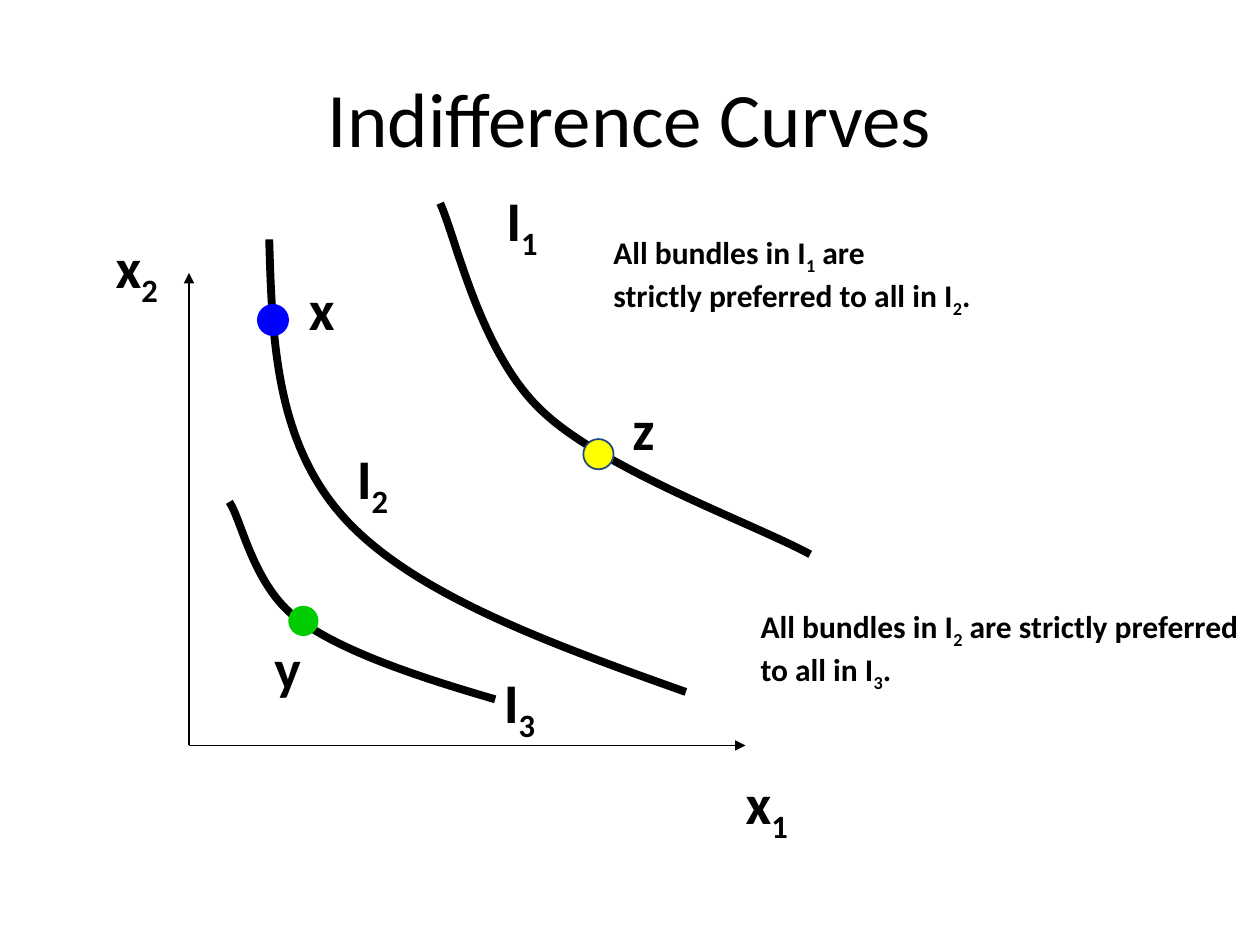
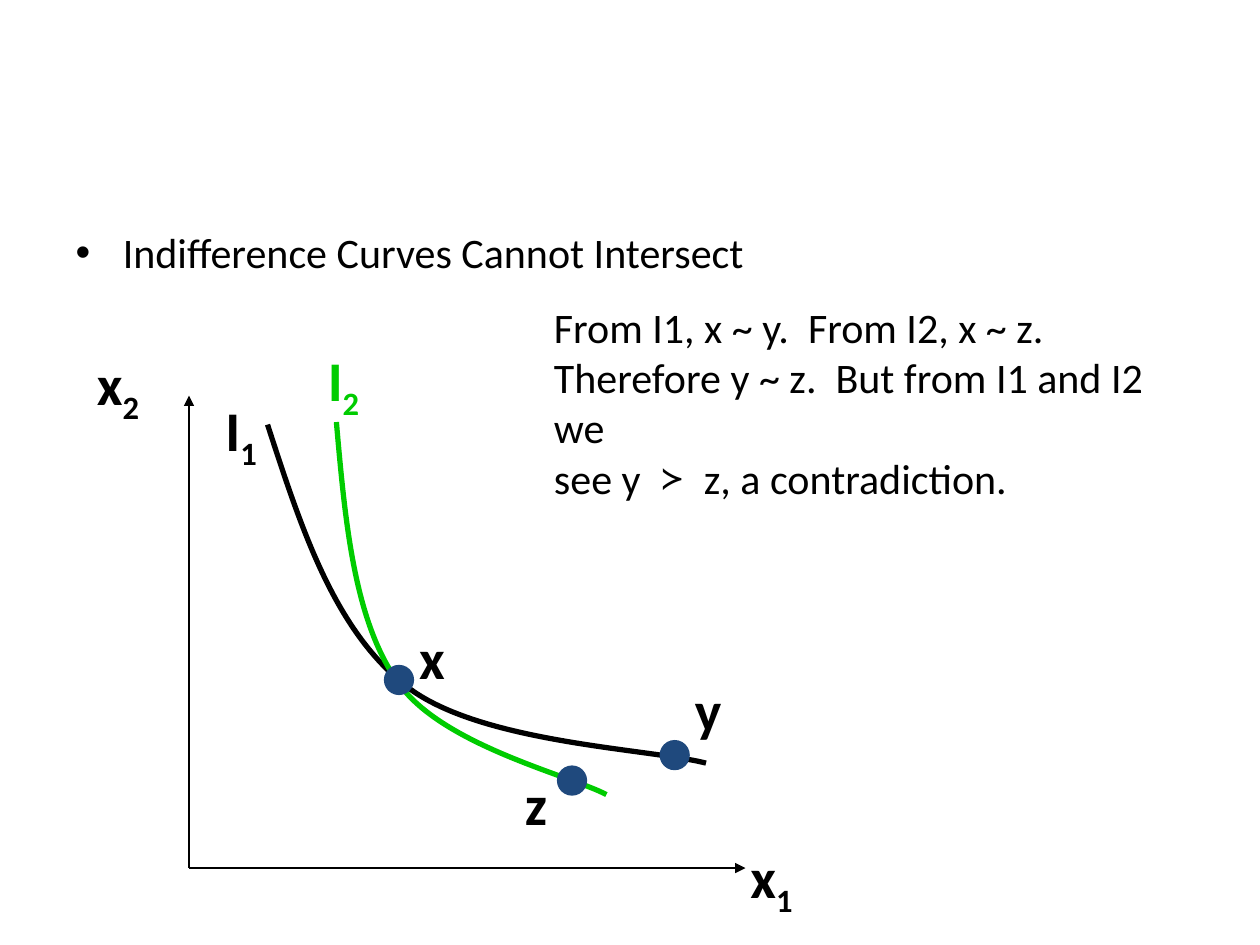
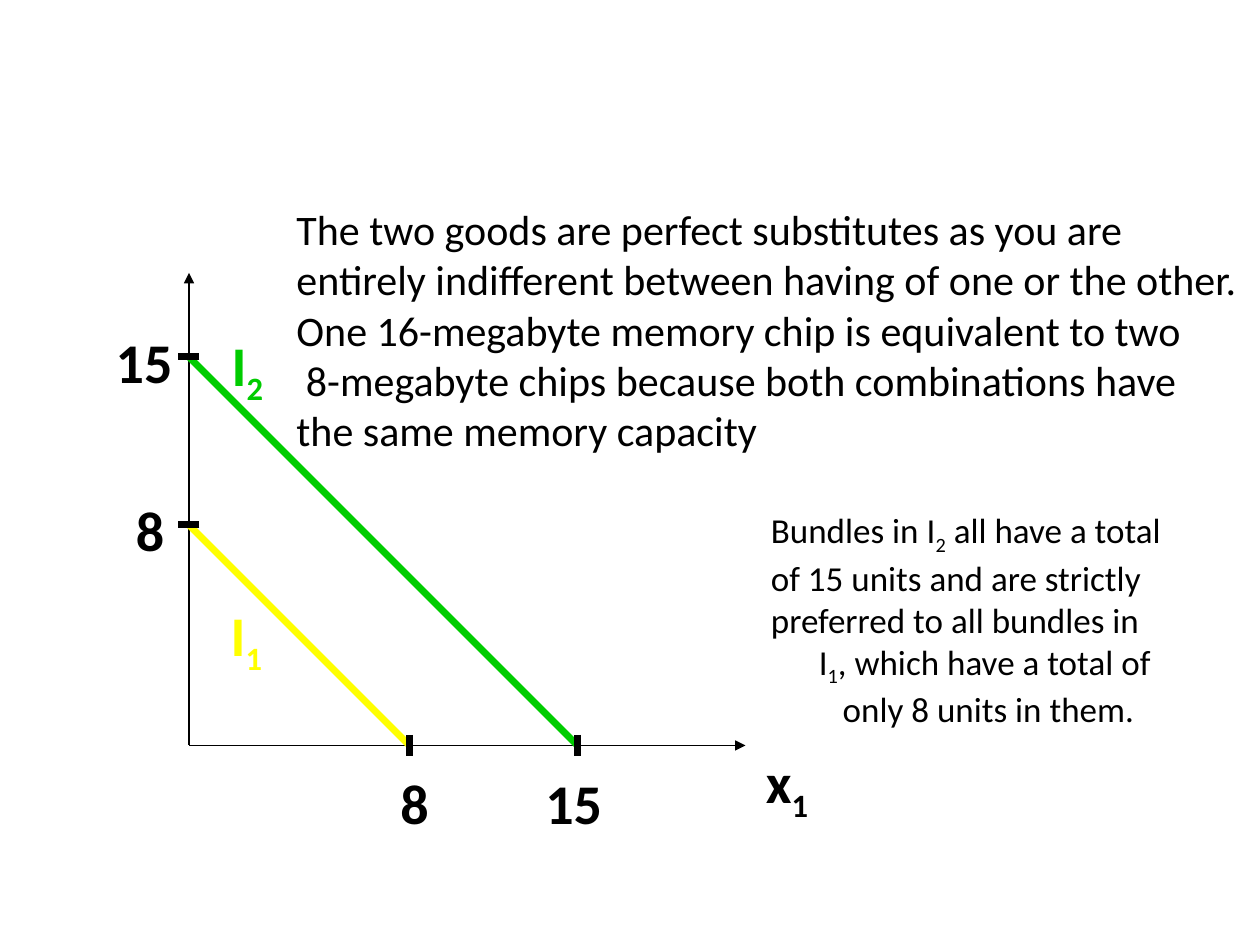
import dataclasses
import itertools

import lxml.etree
import pptx
import pptx.dml.color
import pptx.enum.shapes
import pptx.enum.text
import pptx.oxml.ns
import pptx.util


@dataclasses.dataclass(frozen=True)
class Theme:
    black: str = "000000"
    white: str = "FFFFFF"
    blue: str = "0000FF"
    navy: str = "1F497D"
    green: str = "00CC00"
    yellow: str = "FFFF00"
    font: str = "Calibri"
    symbol_font: str = "Noto Sans Mono"
    title: int = 44
    label: int = 32
    body: int = 24
    note: int = 20
    small: int = 18


THEME = Theme()
COLUMNS, ROWS = 120, 90
TITLE_AND_CONTENT, TITLE_ONLY, BLANK = 1, 5, 6
ORIGIN_COLUMN = 18
DOT_SIZE = 2.88


def color(code):
    return pptx.dml.color.RGBColor.from_string(code)


def write(frame, text, size=THEME.body, tint=THEME.black, bold=False,
          align=None, indents=()):
    """One paragraph per line; "_" lowers the next character, "\v" breaks a line."""
    for number, line in enumerate(text.split("\n")):
        para = frame.paragraphs[0] if number == 0 else frame.add_paragraph()
        if align is not None:
            para.alignment = align
        if number < len(indents):
            para._p.get_or_add_pPr().set("marL", str(pptx.util.Inches(indents[number])))
        marked = [(char, before == "_") for before, char in zip(" " + line, line)
                  if char != "_"]
        styles = itertools.groupby(
            marked, lambda item: (item[1], item[0] == "≻", item[0] == "\v"))
        for (lowered, symbol, broken), items in styles:
            if broken:
                para.add_line_break()
                continue
            span = para.add_run()
            span.text = "".join(char for char, _ in items)
            span.font.name = THEME.symbol_font if symbol else THEME.font
            span.font.size = pptx.util.Pt(size)
            span.font.bold = bold
            span.font.color.rgb = color(tint)
            if lowered:
                span._r.get_or_add_rPr().set("baseline", "-25000")


class Painter:
    """Draws on the current page, measured in grid columns and rows."""

    def __init__(self, deck):
        self.deck = deck
        self.page = None

    def x(self, column):
        return round(self.deck.slide_width * column / COLUMNS)

    def y(self, row):
        return round(self.deck.slide_height * row / ROWS)

    def place(self, shape, column, row, width, height):
        shape.left, shape.top = self.x(column), self.y(row)
        shape.width, shape.height = self.x(width), self.y(height)

    def new_page(self, layout):
        self.page = self.deck.slides.add_slide(self.deck.slide_layouts[layout])
        self.page.background.fill.solid()
        self.page.background.fill.fore_color.rgb = color(THEME.white)

    def title(self, text):
        box = self.page.shapes.title
        self.place(box, 6, 3.6, 108, 15)
        box.text_frame.vertical_anchor = pptx.enum.text.MSO_ANCHOR.MIDDLE
        write(box.text_frame, text, size=THEME.title,
              align=pptx.enum.text.PP_ALIGN.CENTER)

    def bullet(self, text):
        heading = self.page.shapes.title
        heading._element.getparent().remove(heading._element)
        box = self.page.placeholders[1]
        self.place(box, 6, 21, 108, 59.4)
        write(box.text_frame, text)

    def text(self, text, column, row, width, height, wrap=True, **style):
        box = self.page.shapes.add_textbox(
            self.x(column), self.y(row), self.x(width), self.y(height))
        box.text_frame.word_wrap = wrap
        box.text_frame.auto_size = pptx.enum.text.MSO_AUTO_SIZE.SHAPE_TO_FIT_TEXT
        write(box.text_frame, text, **style)

    def label(self, text, column, row, width, wrap=False, tint=THEME.black):
        self.text(text, column, row, width, 7.56, wrap=wrap,
                  size=THEME.label, tint=tint, bold=True)

    def line(self, start, end, weight, tint=THEME.black, arrow=None):
        line = self.page.shapes.add_connector(
            pptx.enum.shapes.MSO_CONNECTOR.STRAIGHT,
            self.x(start[0]), self.y(start[1]), self.x(end[0]), self.y(end[1]))
        line.line.color.rgb = color(tint)
        line.line.width = pptx.util.Pt(weight)
        if arrow:
            lxml.etree.SubElement(line.line._get_or_add_ln(),
                                  pptx.oxml.ns.qn(arrow), type="triangle")
        lxml.etree.SubElement(line._element.spPr, pptx.oxml.ns.qn("a:effectLst"))

    def axes(self, origin_row):
        origin = (ORIGIN_COLUMN, origin_row)
        self.line((ORIGIN_COLUMN, origin_row - 45), origin, 1, arrow="a:headEnd")
        self.line(origin, (ORIGIN_COLUMN + 53, origin_row), 1, arrow="a:tailEnd")

    def curve(self, controls, weight, tint=THEME.black):
        """Joined cubic curves: a start, then three controls for each."""
        points = [(self.x(column), self.y(row)) for column, row in controls]
        builder = self.page.shapes.build_freeform(*points[0])
        builder.add_line_segments(points[1:], close=False)
        shape = builder.convert_to_shape()
        segments = list(shape._element.iter(pptx.oxml.ns.qn("a:lnTo")))
        for first in range(0, len(segments), 3):
            cubic = lxml.etree.Element(pptx.oxml.ns.qn("a:cubicBezTo"))
            segments[first].addprevious(cubic)
            for segment in segments[first:first + 3]:
                cubic.append(segment[0])
                segment.getparent().remove(segment)
        shape.shadow.inherit = False
        shape.fill.background()
        shape.line.color.rgb = color(tint)
        shape.line.width = pptx.util.Pt(weight)

    def dot(self, column, row, fill, outline=None):
        shape = self.page.shapes.add_shape(
            pptx.enum.shapes.MSO_SHAPE.OVAL,
            self.x(column - DOT_SIZE / 2), self.y(row - DOT_SIZE / 2),
            self.x(DOT_SIZE), self.y(DOT_SIZE))
        shape.shadow.inherit = False
        shape.fill.solid()
        shape.fill.fore_color.rgb = color(fill)
        if outline:
            shape.line.color.rgb = color(outline)
            shape.line.width = pptx.util.Pt(1)
        else:
            shape.line.fill.background()


def ranked_curves(painter):
    painter.new_page(TITLE_ONLY)
    painter.title("Indifference Curves")
    painter.axes(71)

    # Labels
    for text, column, row, width, wrap in (
        ("x_2", 9.84, 21.6, 7.32, False),
        ("x_1", 69.84, 72.6, 7.32, False),
        ("x", 28.24, 25.56, 5.4, False),
        ("y", 24.96, 59.76, 6.96, True),
        ("z", 59.04, 36.96, 7.32, True),
        ("I_1", 47.04, 17.04, 8.04, True),
        ("I_2", 32.8, 41.68, 5.88, False),
        ("I_3", 46.8, 63, 5.88, False),
    ):
        painter.label(text, column, row, width, wrap)

    # Curve I2 and bundle x
    painter.curve([(25.64, 22.8), (25.92, 32.52), (26.28, 42.24), (32.88, 49.44),
                   (39.48, 56.64), (52.44, 61.32), (65.32, 65.9)], 4.5)
    painter.dot(26, 30.48, THEME.blue, THEME.blue)

    # Curves I3 and I1 with bundles y and z
    painter.curve([(21.84, 47.8), (23.04, 49.56), (24.12, 55.8), (28.32, 58.92),
                   (32.52, 62.04), (39.72, 64.44), (47.16, 66.6)], 4.5)
    painter.curve([(41.92, 19.36), (43.44, 22.68), (45.72, 33.6), (51.6, 39.12),
                   (57.48, 44.76), (71.88, 49.92), (77.16, 52.8)], 4.5)
    painter.dot(28.9, 59.14, THEME.green)
    painter.dot(57, 43.26, THEME.yellow, THEME.navy)

    # Notes
    painter.text("All bundles in I_1 are\nstrictly preferred to all in I_2.",
                 57.24, 21.6, 60, 8.52, size=THEME.small, bold=True)
    painter.text("All bundles in I_2 are strictly preferred to all in I_3.",
                 71.26, 57.24, 48.72, 8.52, size=THEME.small, bold=True)


def crossing_curves(painter):
    painter.new_page(TITLE_AND_CONTENT)
    painter.bullet("Indifference Curves Cannot Intersect")
    painter.axes(82.67)

    # Labels
    painter.label("x_2", 8.04, 32.67, 9, wrap=True)
    for text, column, row, width, tint in (
        ("x_1", 70.28, 79.68, 7.32, THEME.black),
        ("x", 38.74, 58.8, 5.4, THEME.black),
        ("y", 65, 63.72, 5.4, THEME.black),
        ("z", 48.8, 72.74, 5.04, THEME.black),
        ("I_1", 20.28, 37.08, 5.88, THEME.black),
        ("I_2", 30.04, 32.28, 5.88, THEME.green),
    ):
        painter.label(text, column, row, width, tint=tint)

    # Curves I1 and I2
    painter.curve([(25.48, 40.44), (28.68, 50.28), (31.8, 60), (38.76, 65.4),
                   (45.72, 70.8), (61.68, 71.28), (67.24, 72.68)], 3)
    painter.curve([(32.04, 40.2), (32.88, 49.68), (33.72, 59.28), (38.04, 65.16),
                   (42.24, 71.04), (54.48, 73.92), (57.76, 75.68)], 3, THEME.green)

    # Bundles x, z and y
    for column, row in ((38, 64.76), (54.48, 74.34), (64.26, 71.92)):
        painter.dot(column, row, THEME.navy)

    # Argument
    painter.text("From I1, x ~ y.  From I2, x ~ z.\n"
                 "Therefore y ~ z.  But from I1 and I2 we\n"
                 "see y  ≻  z, a contradiction.", 51.58, 28.08, 60, 20.64)


def perfect_substitutes(painter):
    origin_row = 71
    reaches = (21, 37)
    painter.new_page(BLANK)
    painter.axes(origin_row)
    painter.label("x_1", 71.76, 70.56, 7.32)

    # Straight indifference curves
    for reach, tint in zip(reaches, (THEME.yellow, THEME.green)):
        painter.line((ORIGIN_COLUMN, origin_row - reach),
                     (ORIGIN_COLUMN + reach, origin_row), 4, tint)

    # Ticks on both axes
    for reach in reaches:
        column = ORIGIN_COLUMN + reach
        painter.line((column, origin_row - 1), (column, origin_row + 1), 4)
    for reach in reaches:
        row = origin_row - reach
        painter.line((ORIGIN_COLUMN + 1, row), (ORIGIN_COLUMN - 1, row), 4)

    # Axis values
    painter.label("8", 36.96, 72.6, 6.12, wrap=True)
    for text, column, row, width in (
        ("8", 11.76, 46.6, 5.4),
        ("15", 50.76, 72.6, 8.4),
        ("15", 9.84, 30.6, 8.4),
    ):
        painter.label(text, column, row, width)

    # Explanations and curve names
    painter.text("The two goods are perfect substitutes as you are\n"
                 "entirely indifferent between having of one or the other.\n"
                 "One 16-megabyte memory chip is equivalent to two\n"
                 " 8-megabyte chips because both combinations have\n"
                 "the same memory capacity", 27.05, 18.77, 93, 25.44, wrap=False)
    painter.text("I_2", 14.88, 30.86, 11.88, 7.56, wrap=False, size=THEME.label,
                 tint=THEME.green, bold=True, indents=(0.5,))
    painter.label("I_1", 20.78, 56.64, 5.88, tint=THEME.yellow)
    painter.text("Bundles in I_2 all have a total\v"
                 "of 15 units and are strictly\n"
                 "preferred to all bundles in\n"
                 "I_1, which have a total of\n"
                 "only 8 units in them.", 72.24, 47.82, 40.08, 21.36, wrap=False,
                 size=THEME.note, indents=(0, 0, 0.38, 0.57))


def main():
    deck = pptx.Presentation()
    deck.slide_width = pptx.util.Inches(10)
    deck.slide_height = pptx.util.Inches(7.5)
    painter = Painter(deck)
    ranked_curves(painter)
    crossing_curves(painter)
    perfect_substitutes(painter)
    deck.save("out.pptx")


if __name__ == "__main__":
    main()
